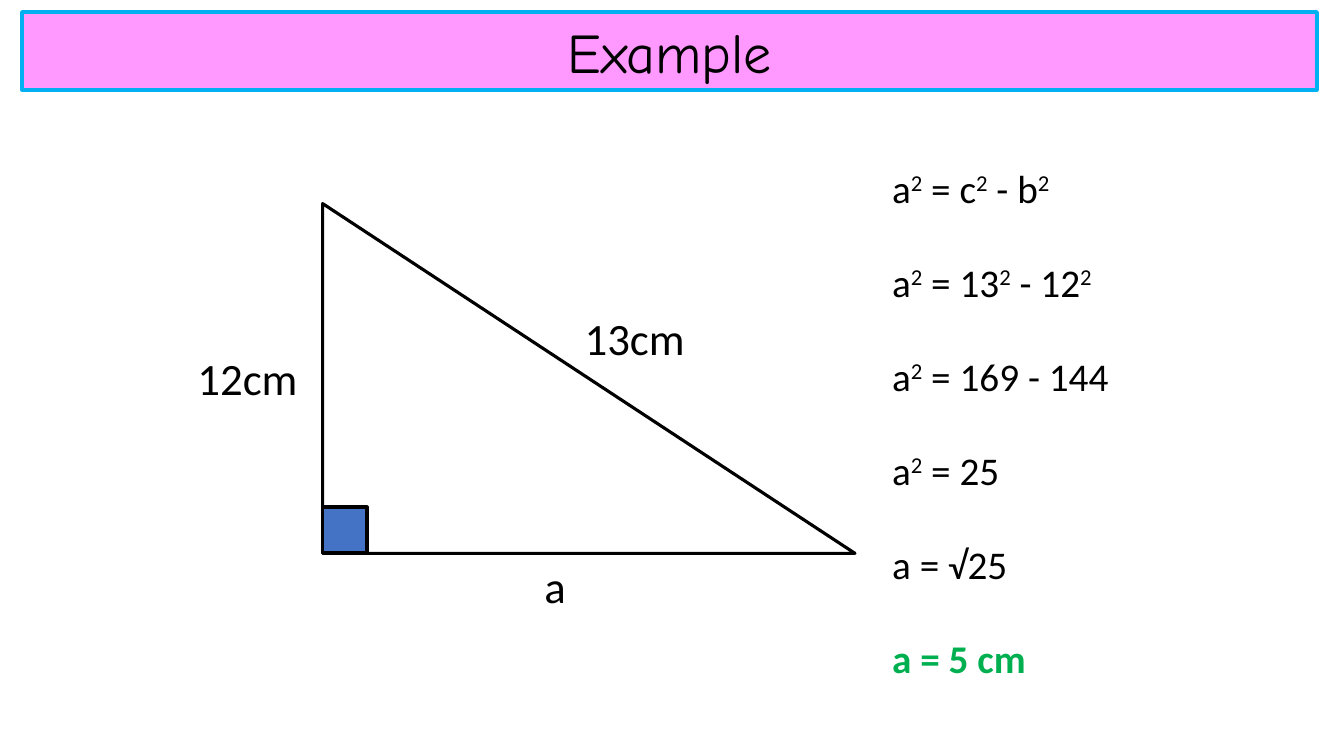
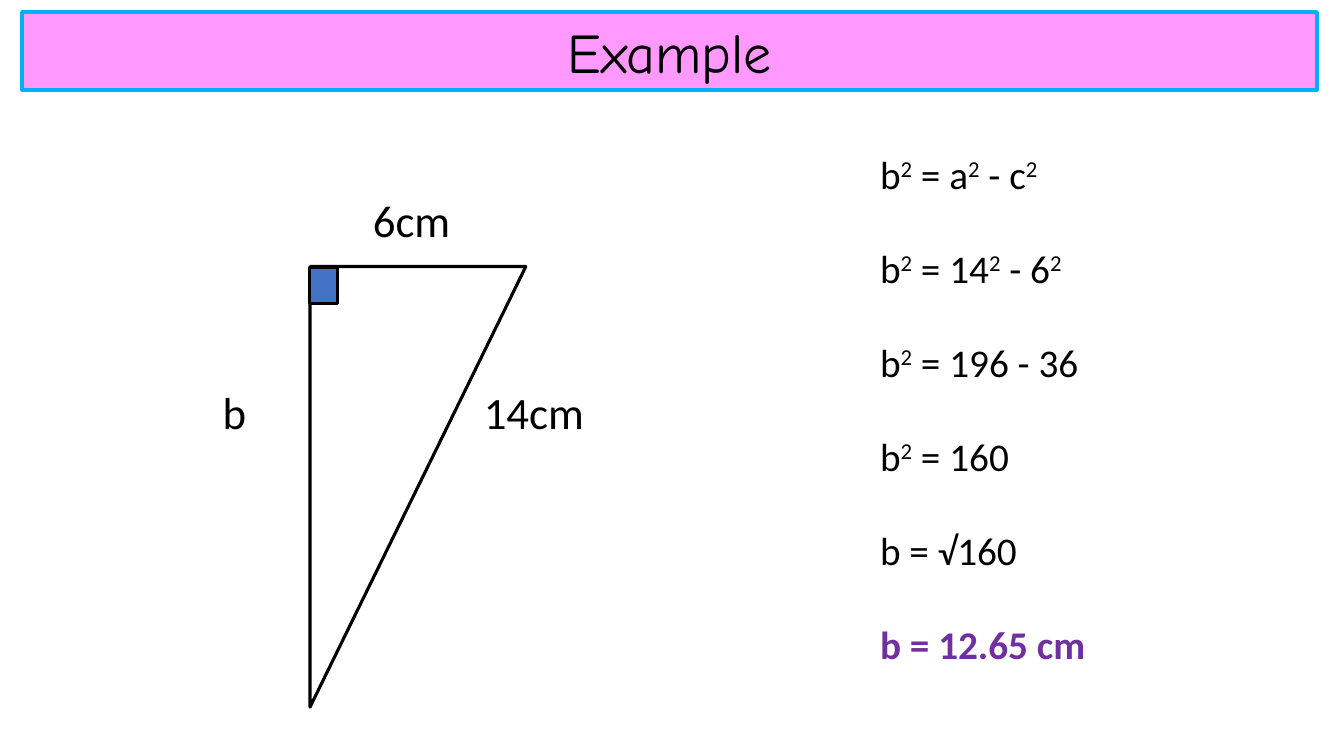
from pptx import Presentation
from pptx.dml.color import RGBColor
from pptx.enum.shapes import MSO_SHAPE
from pptx.enum.text import MSO_ANCHOR, MSO_AUTO_SIZE, PP_ALIGN
from pptx.util import Inches, Pt

COLORS = {
    "ink": "000000",
    "paper": "FFFFFF",
    "band": "FF99FF",
    "band_edge": "00B0F0",
    "corner": "4472C4",
    "green": "00B050",
    "purple": "7030A0",
}
BODY_FONT = "Calibri"
TITLE_FONT = "Comic Neue"

# Positions are left, top, width, height in inches; ^ encloses a superscript
EXAMPLES = [
    {
        "triangle": (3.2, 2.02, 5.28, 3.47),
        "corner": (3.2, 5.03, 0.44, 0.45),
        "rotation": 0,
        "labels": [
            ("12cm", (1.86, 3.43, 1.34, 0.64)),
            ("a", (5.3, 5.49, 1.34, 0.64)),
            ("13cm", (5.7, 3.03, 1.34, 0.64)),
        ],
        "working": (8.75, 1.58, 2.91, 5.28),
        "steps": ["a^2^ = c^2^ - b^2^", "a^2^ = 13^2^ - 12^2^", "a^2^ = 169 - 144",
                  "a^2^ = 25", "a = √25", "a = 5 cm"],
        "answer_color": "green",
    },
    {
        "triangle": (1.96, 3.76, 4.37, 2.14),
        "corner": (3.03, 2.69, 0.36, 0.28),
        "rotation": 90,
        "labels": [
            ("6cm", (3.6, 1.86, 1.1, 0.64)),
            ("14cm", (4.7, 3.77, 1.34, 0.64)),
            ("b", (2.11, 3.77, 1.1, 0.64)),
        ],
        "working": (8.63, 1.44, 2.91, 5.28),
        "steps": ["b^2^ = a^2^ - c^2^", "b^2^ = 14^2^ - 6^2^", "b^2^ = 196 - 36",
                  "b^2^ = 160", "b = √160", "b = 12.65 cm"],
        "answer_color": "purple",
    },
]


def paint(shape, fill, line, width):
    shape.fill.solid()
    shape.fill.fore_color.rgb = RGBColor.from_string(COLORS[fill])
    shape.line.color.rgb = RGBColor.from_string(COLORS[line])
    shape.line.width = Pt(width)


def add_lines(slide, place, lines, size, gap=0, last_color=None):
    box = slide.shapes.add_textbox(*map(Inches, place))
    frame = box.text_frame
    frame.word_wrap = True
    frame.auto_size = MSO_AUTO_SIZE.SHAPE_TO_FIT_TEXT
    for index, line in enumerate(lines):
        para = frame.add_paragraph() if index else frame.paragraphs[0]
        if index:
            para.space_before = Pt(gap)
        is_answer = last_color is not None and index == len(lines) - 1
        for position, piece in enumerate(line.split("^")):
            if not piece:
                continue
            span = para.add_run()
            span.text = piece
            span.font.name = BODY_FONT
            span.font.size = Pt(size)
            color = last_color if is_answer else "ink"
            span.font.color.rgb = RGBColor.from_string(COLORS[color])
            if is_answer:
                span.font.bold = True
            if position % 2:
                span._r.get_or_add_rPr().set("baseline", "30000")


deck = Presentation()
deck.slide_width = Inches(13.33)
deck.slide_height = Inches(7.5)
title_only = deck.slide_layouts[5]

for example in EXAMPLES:
    slide = deck.slides.add_slide(title_only)

    # Title band
    title = slide.shapes.title
    title.left, title.top, title.width, title.height = map(Inches, (0.22, 0.12, 12.84, 0.77))
    paint(title, "band", "band_edge", 3)
    frame = title.text_frame
    frame.text = "Example"
    frame.auto_size = MSO_AUTO_SIZE.NONE
    frame.vertical_anchor = MSO_ANCHOR.TOP
    heading = frame.paragraphs[0]
    heading.alignment = PP_ALIGN.CENTER
    heading.font.name = TITLE_FONT
    heading.font.size = Pt(40)
    heading.font.color.rgb = RGBColor.from_string(COLORS["ink"])

    # Right-angled triangle and its corner mark
    for part, preset, fill in [
        ("triangle", MSO_SHAPE.RIGHT_TRIANGLE, "paper"),
        ("corner", MSO_SHAPE.RECTANGLE, "corner"),
    ]:
        shape = slide.shapes.add_shape(preset, *map(Inches, example[part]))
        shape.rotation = example["rotation"]
        shape.shadow.inherit = False
        paint(shape, fill, "ink", 2.25)

    # Side lengths
    for text, place in example["labels"]:
        add_lines(slide, place, [text], 32)

    # Worked solution
    add_lines(slide, example["working"], example["steps"], 28,
              gap=33.6, last_color=example["answer_color"])

deck.save("out.pptx")
